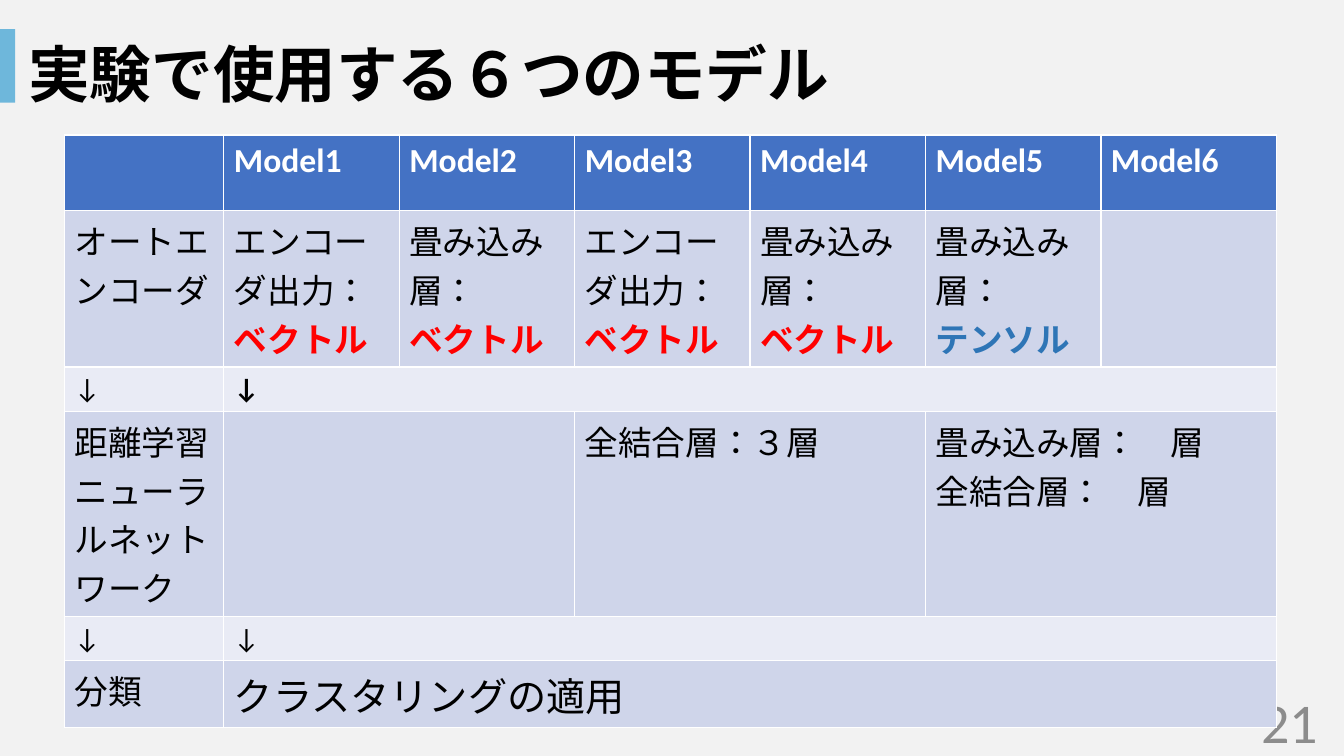
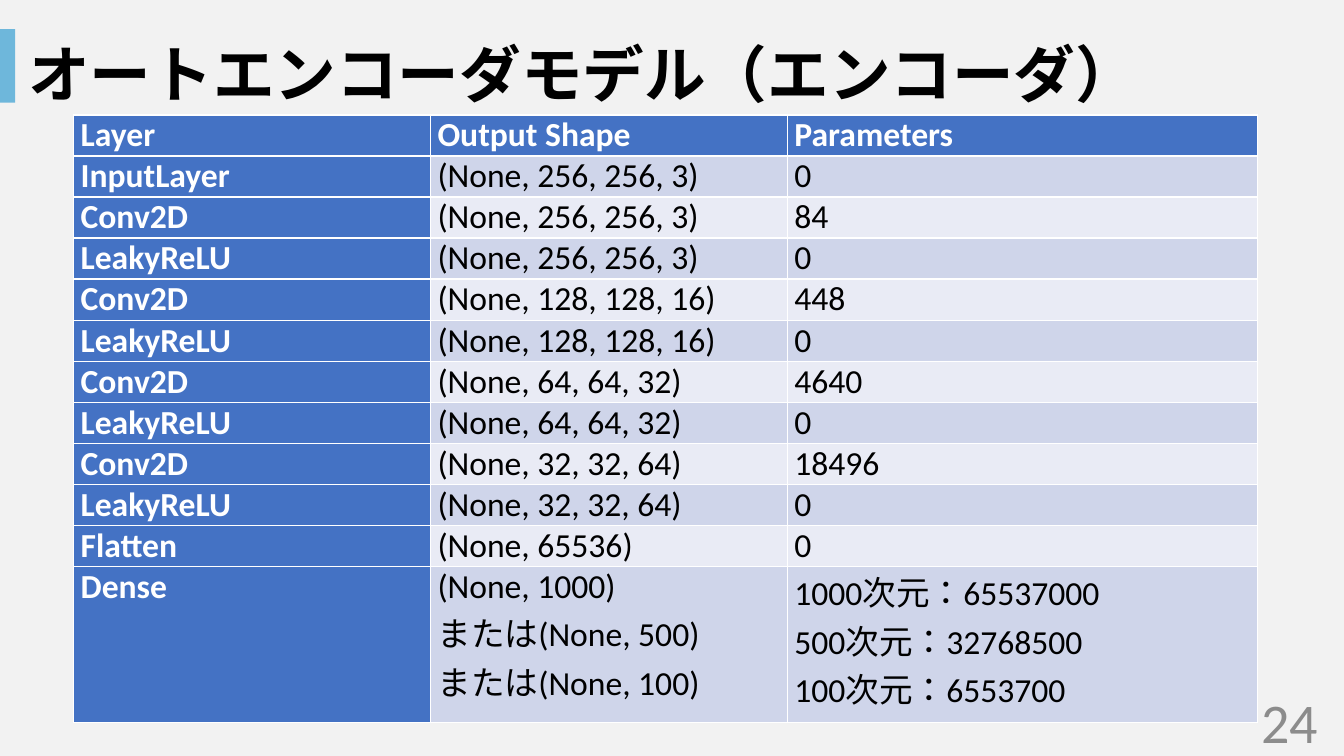
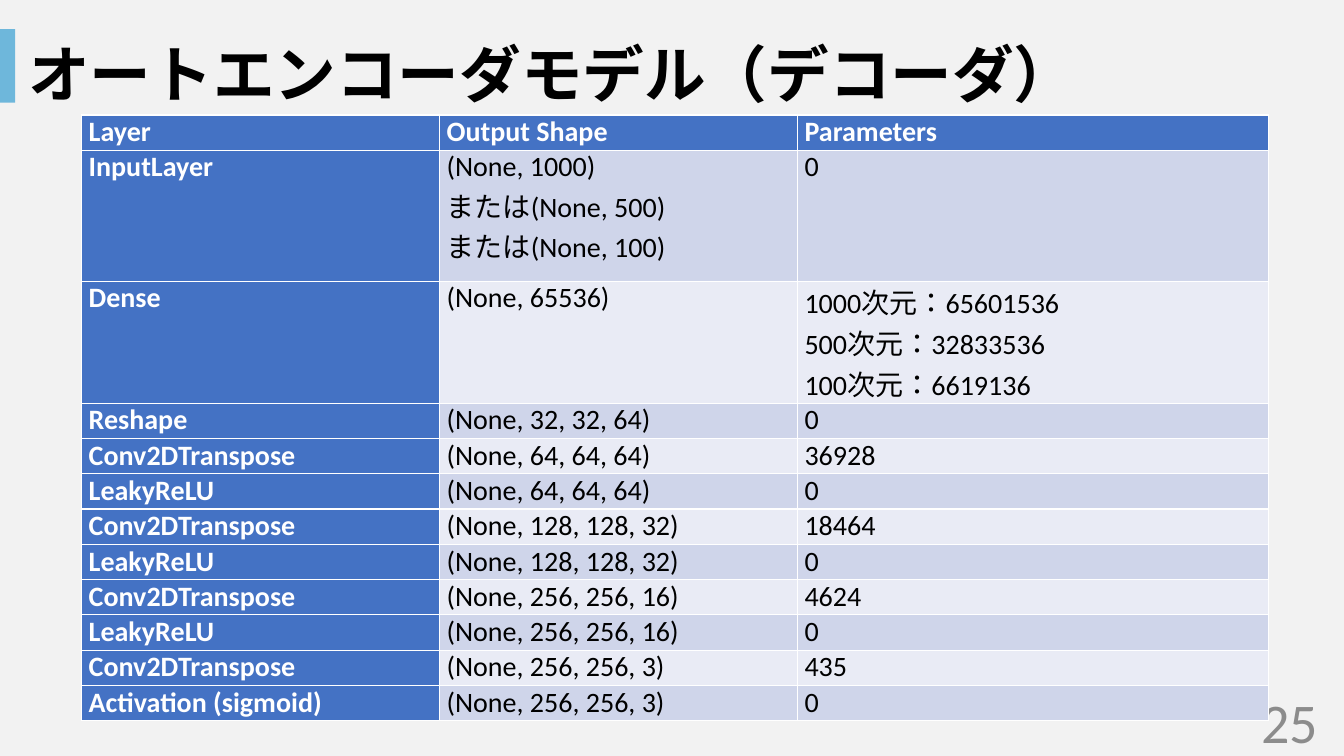
from pptx import Presentation
from pptx.dml.color import RGBColor
from pptx.enum import lang, shapes, text
from pptx.oxml.ns import qn
from pptx.util import Inches, Pt

LATIN, KANA = "Calibri", "Noto Sans CJK JP"
BLACK = RGBColor(0x00, 0x00, 0x00)
WHITE = RGBColor(0xFF, 0xFF, 0xFF)
PAPER = RGBColor(0xF2, 0xF2, 0xF2)
SKY = RGBColor(0x6E, 0xB7, 0xDB)
GREY = RGBColor(0x8C, 0x8C, 0x8C)
HEAD = RGBColor(0x44, 0x72, 0xC4)
BANDS = RGBColor(0xE9, 0xEB, 0xF5), RGBColor(0xCF, 0xD5, 0xEA)
ACCENTS = {"ベクトル": RGBColor(0xFF, 0x00, 0x00),
           "テンソル": RGBColor(0x2E, 0x75, 0xB6)}

# Model table: (row height, text size, [(text, columns spanned)])
OUTPUT, CONV = "エンコーダ出力：\nベクトル", "畳み込み層：\nベクトル"
MODELS = [
    (0.75, 24, [("", 1)] + [(f"Model{n}", 1) for n in range(1, 7)]),
    (1.55, 24, [("オートエンコーダ", 1), (OUTPUT, 1), (CONV, 1), (OUTPUT, 1),
                (CONV, 1), ("畳み込み層：\nテンソル", 1), ("", 1)]),
    (0.43, 20, [("↓", 1), ("↓", 6)]),
    (2.03, 24, [("距離学習ニューラルネットワーク", 1), ("", 2),
                ("全結合層：３層", 2), ("畳み込み層：　層\n全結合層：　層", 2)]),
    (0.43, 20, [("↓", 1), ("↓", 6)]),
    (0.66, 24, [("分類", 1), ("クラスタリングの適用", 6)]),
]
BOLD = {(2, 1)}
SIZES = {(5, 1): 28}

# Layer tables: one tuple per row
TITLES = ("Layer", "Output Shape", "Parameters")
CODE = "(None, 1000)\nまたは(None, 500)\nまたは(None, 100)"
ENCODER = [
    TITLES,
    ("InputLayer", "(None, 256, 256, 3)", "0"),
    ("Conv2D", "(None, 256, 256, 3)", "84"),
    ("LeakyReLU", "(None, 256, 256, 3)", "0"),
    ("Conv2D", "(None, 128, 128, 16)", "448"),
    ("LeakyReLU", "(None, 128, 128, 16)", "0"),
    ("Conv2D", "(None, 64, 64, 32)", "4640"),
    ("LeakyReLU", "(None, 64, 64, 32)", "0"),
    ("Conv2D", "(None, 32, 32, 64)", "18496"),
    ("LeakyReLU", "(None, 32, 32, 64)", "0"),
    ("Flatten", "(None, 65536)", "0"),
    ("Dense", CODE, "1000次元：65537000\n500次元：32768500\n100次元：6553700"),
]
DECODER = [
    TITLES,
    ("InputLayer", CODE, "0"),
    ("Dense", "(None, 65536)",
     "1000次元：65601536\n500次元：32833536\n100次元：6619136"),
    ("Reshape", "(None, 32, 32, 64)", "0"),
    ("Conv2DTranspose", "(None, 64, 64, 64)", "36928"),
    ("LeakyReLU", "(None, 64, 64, 64)", "0"),
    ("Conv2DTranspose", "(None, 128, 128, 32)", "18464"),
    ("LeakyReLU", "(None, 128, 128, 32)", "0"),
    ("Conv2DTranspose", "(None, 256, 256, 16)", "4624"),
    ("LeakyReLU", "(None, 256, 256, 16)", "0"),
    ("Conv2DTranspose", "(None, 256, 256, 3)", "435"),
    ("Activation (sigmoid)", "(None, 256, 256, 3)", "0"),
]


def box(*sides):
    return [Inches(side) for side in sides]


def write(para, words, size, color, bold=False, face=LATIN):
    run = para.add_run()
    run.text = words
    font = run.font
    font.name, font.size, font.bold = face, Pt(size), bold
    font.color.rgb = color
    font.language_id = lang.MSO_LANGUAGE_ID.JAPANESE
    east = run._r.get_or_add_rPr().makeelement(qn("a:ea"), {"typeface": KANA})
    font._element.find(qn("a:latin")).addnext(east)


def start(deck, title, page):
    """Add a slide with its title, side bar and page number."""
    slide = deck.slides.add_slide(deck.slide_layouts[0])
    sub = slide.placeholders[1]._element
    sub.getparent().remove(sub)
    head = slide.shapes.title
    head.left, head.top, head.width, head.height = box(0.18, 0.3, 11.57, 0.84)
    bar = slide.shapes.add_shape(shapes.MSO_SHAPE.RECTANGLE,
                                 *box(0, 0.29, 0.15, 0.73))
    bar.shadow.inherit = False
    bar.fill.solid()
    bar.fill.fore_color.rgb = SKY
    bar.line.fill.background()
    foot = slide.shapes.add_textbox(*box(10.17, 6.95, 3, 0.4))
    for shape, side in ((head, text.PP_ALIGN.LEFT), (foot, text.PP_ALIGN.RIGHT)):
        frame = shape.text_frame
        frame.word_wrap = True
        frame.auto_size = text.MSO_AUTO_SIZE.NONE
        frame.vertical_anchor = text.MSO_ANCHOR.MIDDLE
        frame.paragraphs[0].alignment = side
    write(head.text_frame.paragraphs[0], title, 44, BLACK, True, KANA)
    write(foot.text_frame.paragraphs[0], str(page), 40, GREY)
    return slide


def grid(slide, left, top, widths, heights):
    table = slide.shapes.add_table(
        len(heights), len(widths),
        *box(left, top, sum(widths), sum(heights))).table
    for col, width in zip(table.columns, widths):
        col.width = Inches(width)
    for row, height in zip(table.rows, heights):
        row.height = Inches(height)
    return table


def fill(cell, words, size, row, head, bold=False):
    """Colour a cell by its row and write one paragraph per line."""
    cell.fill.solid()
    cell.fill.fore_color.rgb = HEAD if head else BANDS[row % 2]
    frame = cell.text_frame
    for i, line in enumerate(words.split("\n") if words else []):
        para = frame.add_paragraph() if i else frame.paragraphs[0]
        color = ACCENTS.get(line, WHITE if head else BLACK)
        write(para, line, size, color, head or bold or line in ACCENTS)


def models(slide):
    table = grid(slide, 0.64, 1.34, [1.58] + [1.74] * 6,
                 [height for height, _, _ in MODELS])
    for r, (_, size, cells) in enumerate(MODELS):
        c = 0
        for words, span in cells:
            cell = table.cell(r, c)
            if span > 1:
                cell.merge(table.cell(r, c + span - 1))
            fill(cell, words, SIZES.get((r, c), size), r, r == 0, (r, c) in BOLD)
            c += span


def layers(slide, rows, left, widths, size, low, tall):
    """Draw a layer table; tall maps a row to its height, others are low."""
    table = grid(slide, left, 1.14, widths,
                 [tall.get(r, low) for r in range(len(rows))])
    table.first_col = True
    for r, row in enumerate(rows):
        for c, words in enumerate(row):
            cell = table.cell(r, c)
            cell.margin_left = cell.margin_right = Inches(0.07)
            cell.margin_top = cell.margin_bottom = 0
            fill(cell, words, size, r, r == 0 or c == 0)
            for para in cell.text_frame.paragraphs:
                para.alignment = text.PP_ALIGN.JUSTIFY


def main():
    deck = Presentation()
    deck.slide_width, deck.slide_height = box(13.33, 7.5)
    back = deck.slide_master.background.fill
    back.solid()
    back.fore_color.rgb = PAPER
    models(start(deck, "実験で使用する６つのモデル", 21))
    layers(start(deck, "オートエンコーダモデル（エンコーダ）", 24),
           ENCODER, 0.73, [3.54, 3.54, 4.66], 24, 0.4, {11: 1.55})
    layers(start(deck, "オートエンコーダモデル（デコーダ）", 25),
           DECODER, 0.81, [3.55, 3.55, 4.67], 20, 0.35, {1: 1.3, 2: 1.2})
    deck.save("out.pptx")


if __name__ == "__main__":
    main()
